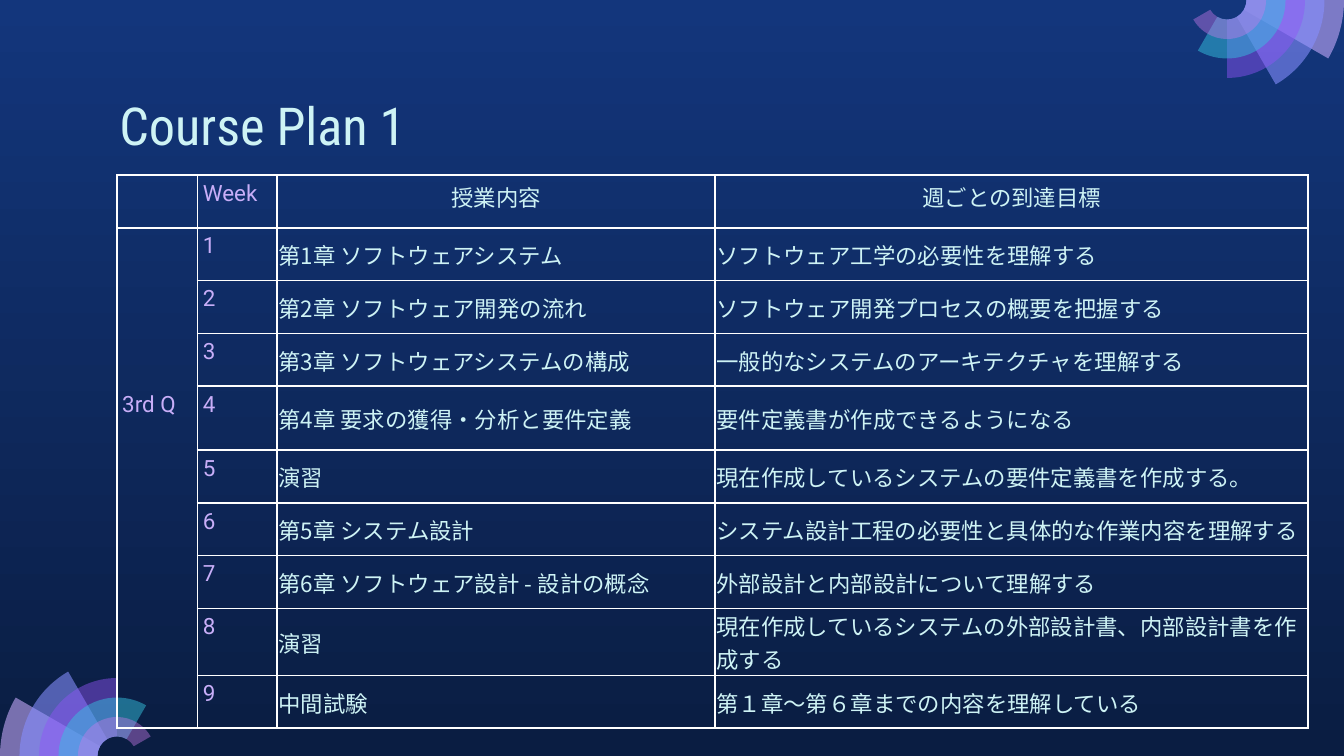
from math import cos, radians, sin, tan

from lxml import etree
from pptx import Presentation
from pptx.dml.color import RGBColor
from pptx.enum.text import MSO_ANCHOR, PP_ALIGN
from pptx.oxml.ns import qn
from pptx.util import Pt

TOP, MIDDLE = MSO_ANCHOR.TOP, MSO_ANCHOR.MIDDLE
LEFT, CENTER = PP_ALIGN.LEFT, PP_ALIGN.CENTER

COLORS = {
    "sky": "13367C", "night": "0A1D42", "text": "CEF3F5", "label": "C8AEF8",
    "border": "FFFFFF", "lilac": "C8ACFD", "periwinkle": "878FFF",
    "violet": "9154F8", "cyan": "35C2DF", "orchid": "CA7BEB",
}
LATIN, JAPANESE, HEADING = "Roboto", "Noto Sans CJK JP", "Roboto Condensed"

SLIDE_WIDTH, SLIDE_HEIGHT = 720, 405
RING_STEP = 10.44
# Fan rings from the widest radius inwards: colour, opacity in percent
RINGS = [("lilac", 58), ("periwinkle", 58), ("violet", 46), ("cyan", 49), ("orchid", 42)]

COLUMN_WIDTHS = [43.2, 42.7, 234.7, 317.7]
ROW_HEIGHT = 28.3
TALL_ROWS = {4: 34.2, 8: 35.9}
QUARTER_ROW = 4
HEADER = ["", "Week", "授業内容", "週ごとの到達目標"]
WEEKS = [
    ("第1章 ソフトウェアシステム", "ソフトウェア工学の必要性を理解する"),
    ("第2章 ソフトウェア開発の流れ", "ソフトウェア開発プロセスの概要を把握する"),
    ("第3章 ソフトウェアシステムの構成", "一般的なシステムのアーキテクチャを理解する"),
    ("第4章 要求の獲得・分析と要件定義", "要件定義書が作成できるようになる"),
    ("演習", "現在作成しているシステムの要件定義書を作成する。"),
    ("第5章 システム設計", "システム設計工程の必要性と具体的な作業内容を理解する"),
    ("第6章 ソフトウェア設計 - 設計の概念", "外部設計と内部設計について理解する"),
    ("演習", "現在作成しているシステムの外部設計書、内部設計書を作成する"),
    ("中間試験", "第１章〜第６章までの内容を理解している"),
]

LABEL_FORMAT = {"name": LATIN, "size": Pt(12), "color": "label"}
BODY_FORMAT = {"name": JAPANESE, "size": Pt(12), "color": "text"}
TITLE_FORMAT = {"name": HEADING, "size": Pt(28), "color": "text"}


def rgb(name):
    return RGBColor.from_string(COLORS[name])


def write_text(paragraph, text, text_format):
    run = paragraph.add_run()
    run.text = text
    for attribute, value in text_format.items():
        if attribute == "color":
            run.font.color.rgb = rgb(value)
        else:
            setattr(run.font, attribute, value)
    east_asian = etree.SubElement(run.font._element, qn("a:ea"))
    east_asian.set("typeface", text_format["name"])


def set_background(slide):
    fill = slide.background.fill
    fill.gradient()
    fill.gradient_angle = 270
    for stop, name in zip(fill.gradient_stops, ("sky", "night")):
        stop.color.rgb = rgb(name)


def arc(center_x, center_y, radius, start, sweep):
    """Return Bézier points of an arc: its start, then three per quarter turn or less."""
    def point(angle, tangent=0):
        x = center_x + radius * (cos(angle) - tangent * sin(angle))
        y = center_y + radius * (sin(angle) + tangent * cos(angle))
        return Pt(x), Pt(y)

    points = [point(radians(start))]
    for offset in range(0, sweep, 90):
        first = radians(start + offset)
        last = radians(start + min(offset + 90, sweep))
        handle = 4 / 3 * tan((last - first) / 4)
        points += [point(first, handle), point(last, -handle), point(last)]
    return points


def bend(lines):
    """Turn each three line segments into one Bézier curve."""
    for index in range(0, len(lines), 3):
        curve = etree.Element(qn("a:cubicBezTo"))
        lines[index].addprevious(curve)
        for line in lines[index:index + 3]:
            curve.append(line[0])
            line.getparent().remove(line)


def add_sector(group, outer, inner, name, opacity):
    builder = group.shapes.build_freeform(*outer[0])
    builder.add_line_segments(outer[1:] + inner[::-1], close=True)
    sector = builder.convert_to_shape()
    lines = list(sector._element.iter(qn("a:lnTo")))
    bend(lines[:len(outer) - 1])
    bend(lines[len(outer):])
    sector.shadow.inherit = False
    sector.line.fill.background()
    sector.fill.solid()
    sector.fill.fore_color.rgb = rgb(name)
    color = sector._element.spPr.find(qn("a:solidFill")).find(qn("a:srgbClr"))
    etree.SubElement(color, qn("a:alpha")).set("val", str(opacity * 1000))


def add_fan(slide, center_x, center_y, start):
    """Add ring sectors; each smaller ring sweeps 30 degrees further."""
    group = slide.shapes.add_group_shape()
    for index, (name, opacity) in enumerate(RINGS):
        sweep = 30 * (index + 1)
        outer = arc(center_x, center_y, RING_STEP * (6 - index), start, sweep)
        inner = arc(center_x, center_y, RING_STEP, start, sweep)
        add_sector(group, outer, inner, name, opacity)


def add_title(slide, left, top, width, height):
    box = slide.shapes.add_textbox(Pt(left), Pt(top), Pt(width), Pt(height))
    frame = box.text_frame
    frame.word_wrap = True
    frame.vertical_anchor = TOP
    for side in ("left", "right", "top", "bottom"):
        setattr(frame, f"margin_{side}", Pt(7.2))
    write_text(frame.paragraphs[0], "Course Plan 1", TITLE_FORMAT)


def set_borders(cell, drawn):
    properties = cell._tc.get_or_add_tcPr()
    for side in "LRTB":
        line = etree.SubElement(properties, qn(f"a:ln{side}"), w=str(Pt(1)))
        if side in drawn:
            fill = etree.SubElement(line, qn("a:solidFill"))
            etree.SubElement(fill, qn("a:srgbClr"), val=COLORS["border"])
        else:
            etree.SubElement(line, qn("a:noFill"))


def format_cell(cell, text, row, column):
    drawn = "LRTB"
    if column == 0 and row > 0:
        drawn = "LR" + ("T" if row == 1 else "") + ("B" if row == len(WEEKS) else "")
    set_borders(cell, drawn)
    cell.fill.background()

    is_body = row > 0 and column > 1
    cell.vertical_anchor = MIDDLE if is_body else TOP
    for side in ("left", "right", "top", "bottom"):
        setattr(cell, f"margin_{side}", Pt(0.7 if is_body else 2.9))
    if is_body:
        cell.margin_bottom = Pt(0)
    if text:
        paragraph = cell.text_frame.paragraphs[0]
        paragraph.alignment = CENTER if row == 0 and column > 1 else LEFT
        write_text(paragraph, text, BODY_FORMAT if column > 1 else LABEL_FORMAT)


def add_course_table(slide, left, top):
    rows = [HEADER]
    for week, (content, goal) in enumerate(WEEKS, start=1):
        rows.append(["3rd Q" if week == QUARTER_ROW else "", str(week), content, goal])
    heights = [TALL_ROWS.get(row, ROW_HEIGHT) for row in range(len(rows))]
    frame = slide.shapes.add_table(len(rows), len(HEADER), Pt(left), Pt(top),
                                   Pt(sum(COLUMN_WIDTHS)), Pt(sum(heights)))
    table = frame.table
    table.first_row = table.horz_banding = False
    for column, width in zip(table.columns, COLUMN_WIDTHS):
        column.width = Pt(width)
    for row, texts in enumerate(rows):
        table.rows[row].height = Pt(heights[row])
        for column, text in enumerate(texts):
            format_cell(table.cell(row, column), text, row, column)


def main():
    presentation = Presentation()
    presentation.slide_width, presentation.slide_height = Pt(SLIDE_WIDTH), Pt(SLIDE_HEIGHT)
    slide = presentation.slides.add_slide(presentation.slide_layouts[6])
    set_background(slide)
    fan_inset = 6 * RING_STEP
    add_fan(slide, fan_inset, SLIDE_HEIGHT, start=180)
    add_fan(slide, SLIDE_WIDTH - fan_inset, 0, start=0)
    add_title(slide, 56.9, 42.8, 607, 45.4)
    add_course_table(slide, 62.6, 93.7)
    presentation.save("out.pptx")


if __name__ == "__main__":
    main()
